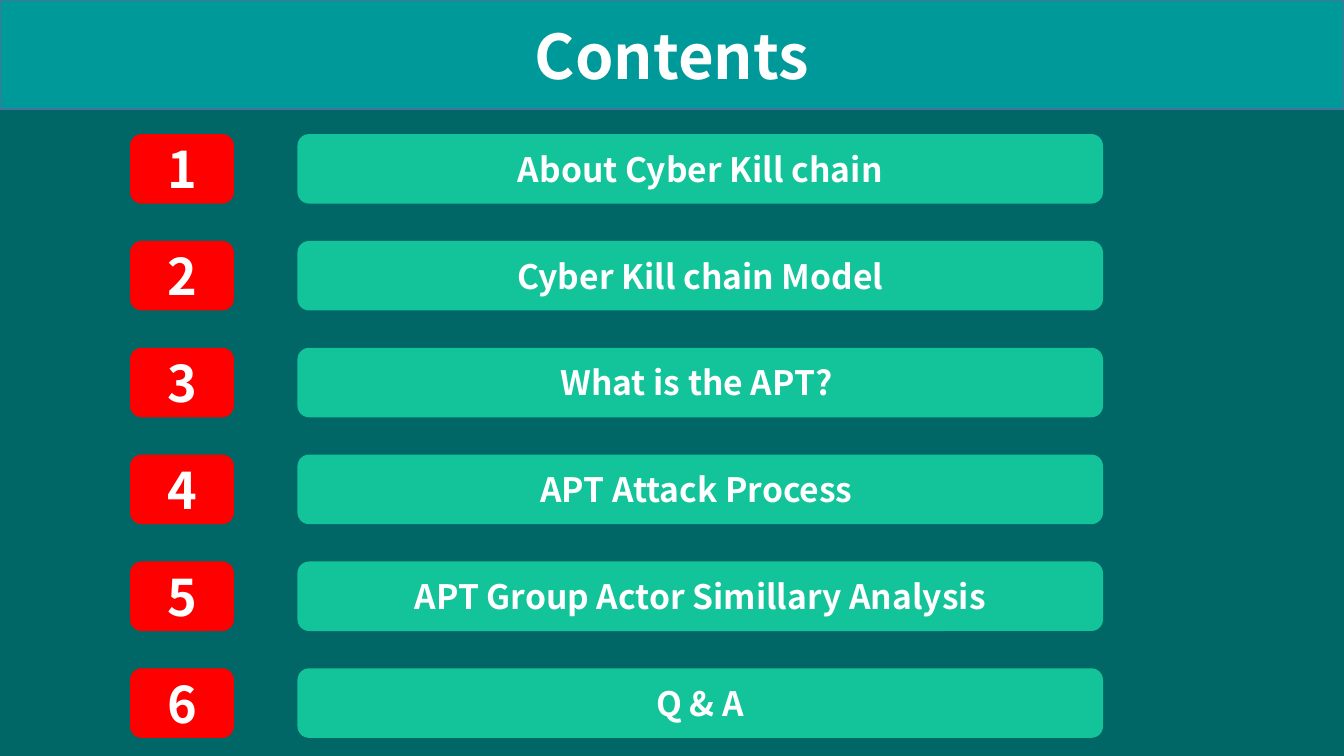
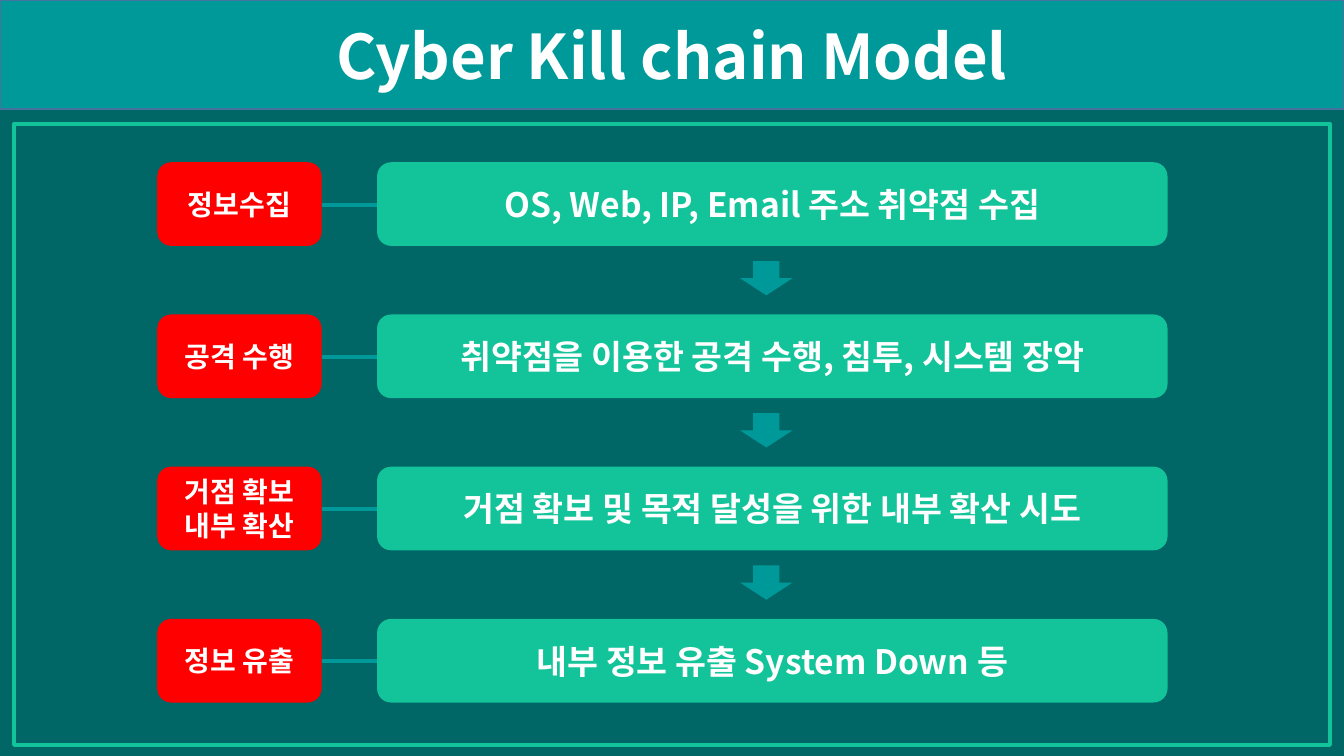
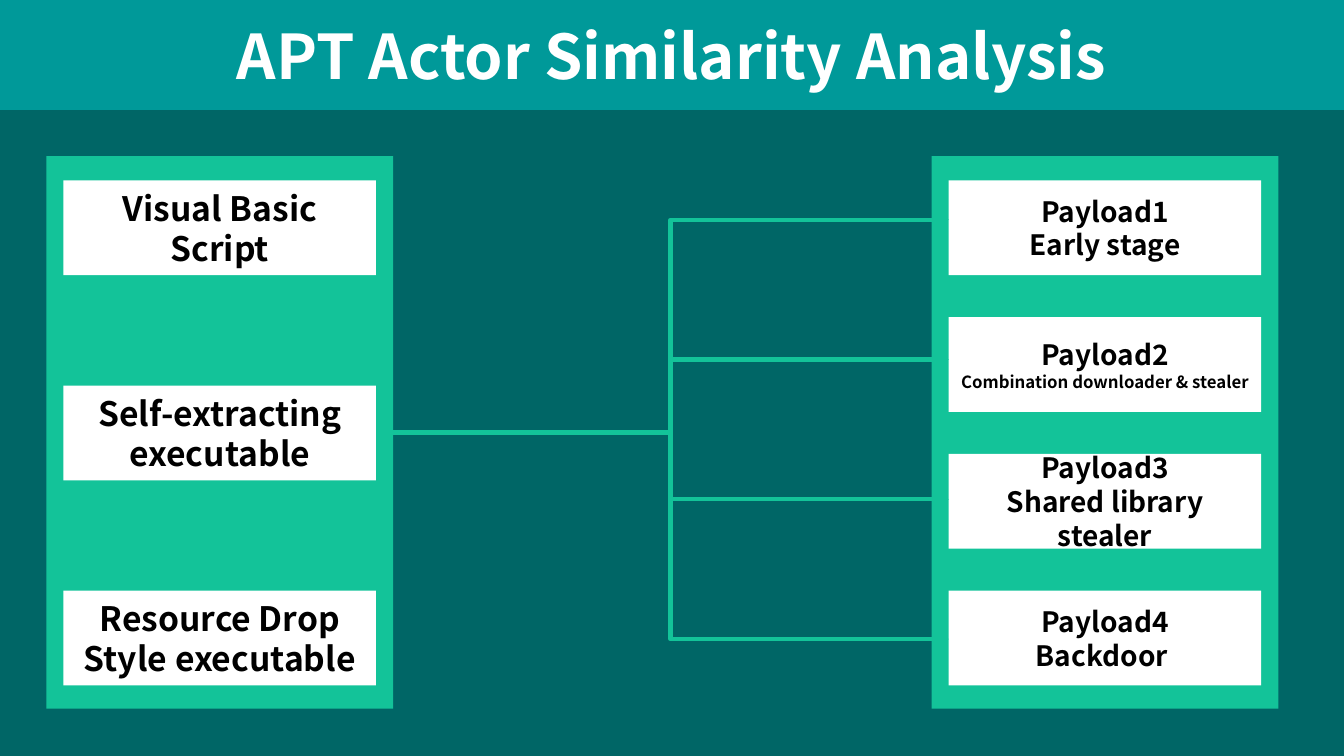
from lxml import etree
from pptx import Presentation
from pptx import util as u
from pptx.dml import color as dml
from pptx.enum import shapes, text
from pptx.oxml import ns

FONT = "Noto Sans CJK KR"
HUES = {
    "back": "006666",
    "band": "009999",
    "edge": "43739E",
    "mint": "13C399",
    "red": "FF0000",
    "white": "FFFFFF",
    "black": "000000",
}
RECT = shapes.MSO_SHAPE.RECTANGLE
ROUND = shapes.MSO_SHAPE.ROUNDED_RECTANGLE
DOWN = shapes.MSO_SHAPE.DOWN_ARROW
LINE = shapes.MSO_CONNECTOR.STRAIGHT
ELBOW = shapes.MSO_CONNECTOR.ELBOW


def hue(name):
    return dml.RGBColor.from_string(HUES[name])


def spread(first, last, count):
    """Evenly spaced positions from first to last."""
    step = (last - first) / (count - 1)
    return [first + step * i for i in range(count)]


class Deck:
    def __init__(self):
        self.prs = Presentation()
        self.prs.slide_width = u.Inches(13.33)
        self.prs.slide_height = u.Inches(7.5)
        self.slide = None

    def page(self, title, edge="edge"):
        """Start a slide with its background and title band."""
        self.slide = self.prs.slides.add_slide(self.prs.slide_layouts[6])
        fill = self.slide.background.fill
        fill.solid()
        fill.fore_color.rgb = hue("back")
        self.box((0, 0, 13.33, 1.08), "band", title, 44, edge=edge, width=1)

    def box(self, at, fill, words="", size=24, ink="white", form=RECT, edge=None, width=3):
        shape = self.slide.shapes.add_shape(form, *map(u.Inches, at))
        shape.shadow.inherit = False
        shape.fill.solid()
        shape.fill.fore_color.rgb = hue(fill)
        if edge:
            shape.line.color.rgb = hue(edge)
            shape.line.width = u.Pt(width)
        else:
            shape.line.fill.background()
        if words:
            self.label(shape.text_frame, words, size, ink)
        return shape

    def label(self, frame, words, size, ink):
        frame.text = words
        frame.word_wrap = True
        frame.vertical_anchor = text.MSO_ANCHOR.MIDDLE
        for para in frame.paragraphs:
            para.alignment = text.PP_ALIGN.CENTER
            for run in para.runs:
                font = run.font
                font.size = u.Pt(size)
                font.bold = True
                font.color.rgb = hue(ink)
                font.name = FONT
                east = etree.SubElement(run._r.get_or_add_rPr(), ns.qn("a:ea"))
                east.set("typeface", FONT)

    def link(self, start, end, tint, form=LINE, arrow=False):
        link = self.slide.shapes.add_connector(form, *map(u.Inches, start + end))
        link.line.color.rgb = hue(tint)
        link.line.width = u.Pt(3)
        props = link._element.spPr
        if arrow:
            tail = etree.SubElement(props.find(ns.qn("a:ln")), ns.qn("a:tailEnd"))
            tail.set("type", "triangle")
        etree.SubElement(props, ns.qn("a:effectLst"))


def contents(deck):
    deck.page("Contents")
    topics = [
        "About Cyber Kill chain",
        "Cyber Kill chain Model",
        "What is the APT? ",
        "APT Attack Process ",
        "APT Group Actor Simillary Analysis",
        "Q & A",
    ]
    tops = spread(1.33, 6.63, len(topics))
    for num, (top, topic) in enumerate(zip(tops, topics), 1):
        deck.box((1.29, top, 1.03, 0.69), "red", str(num), 36, form=ROUND)
        deck.box((2.95, top, 7.99, 0.69), "mint", topic, form=ROUND)


def model(deck):
    deck.page("Cyber Kill chain Model")
    deck.box((0.14, 1.23, 13.05, 6.16), "back", edge="mint")
    stages = [
        ("정보수집", "OS, Web, IP, Email 주소 취약점 수집"),
        ("공격 수행", "취약점을 이용한 공격 수행, 침투, 시스템 장악"),
        ("거점 확보\n내부 확산", "거점 확보 및 목적 달성을 위한 내부 확산 시도"),
        ("정보 유출", "내부 정보 유출 System Down 등"),
    ]
    tops = spread(1.61, 6.14, len(stages))
    for top, (stage, detail) in zip(tops, stages):
        deck.box((1.56, top, 1.63, 0.83), "red", stage, 20, form=ROUND)
        deck.box((3.74, top, 7.84, 0.83), "mint", detail, form=ROUND)
        deck.link((3.19, top + 0.42), (3.74, top + 0.42), "band")
    for top in tops[:-1]:
        deck.box((7.34, top + 0.98, 0.52, 0.34), "band", form=DOWN)


def actors(deck):
    deck.page("APT Actor Similarity Analysis", edge="band")
    tools = [
        "Visual Basic Script",
        "Self-extracting executable",
        "Resource Drop Style executable",
    ]
    loads = [
        "Payload1\nEarly stage",
        "Payload2\nCombination downloader & stealer",
        "Payload3\nShared library stealer",
        "Payload4\nBackdoor ",
    ]
    cards = []
    for left, items, size in ((0.46, tools, 24), (9.24, loads, 20)):
        deck.box((left, 1.55, 3.44, 5.48), "mint")
        cards = [
            deck.box((left + 0.17, top, 3.1, 0.94), "white", item, size, "black")
            for top, item in zip(spread(1.79, 5.86, len(items)), items)
        ]
    small = cards[1].text_frame.paragraphs[1]
    small.runs[0].font.size = u.Pt(12)
    for end in spread(2.18, 6.34, len(loads)):
        deck.link((3.89, 4.29), (9.41, end), "mint", ELBOW, arrow=True)


def main():
    deck = Deck()
    contents(deck)
    model(deck)
    actors(deck)
    deck.prs.save("out.pptx")


if __name__ == "__main__":
    main()
